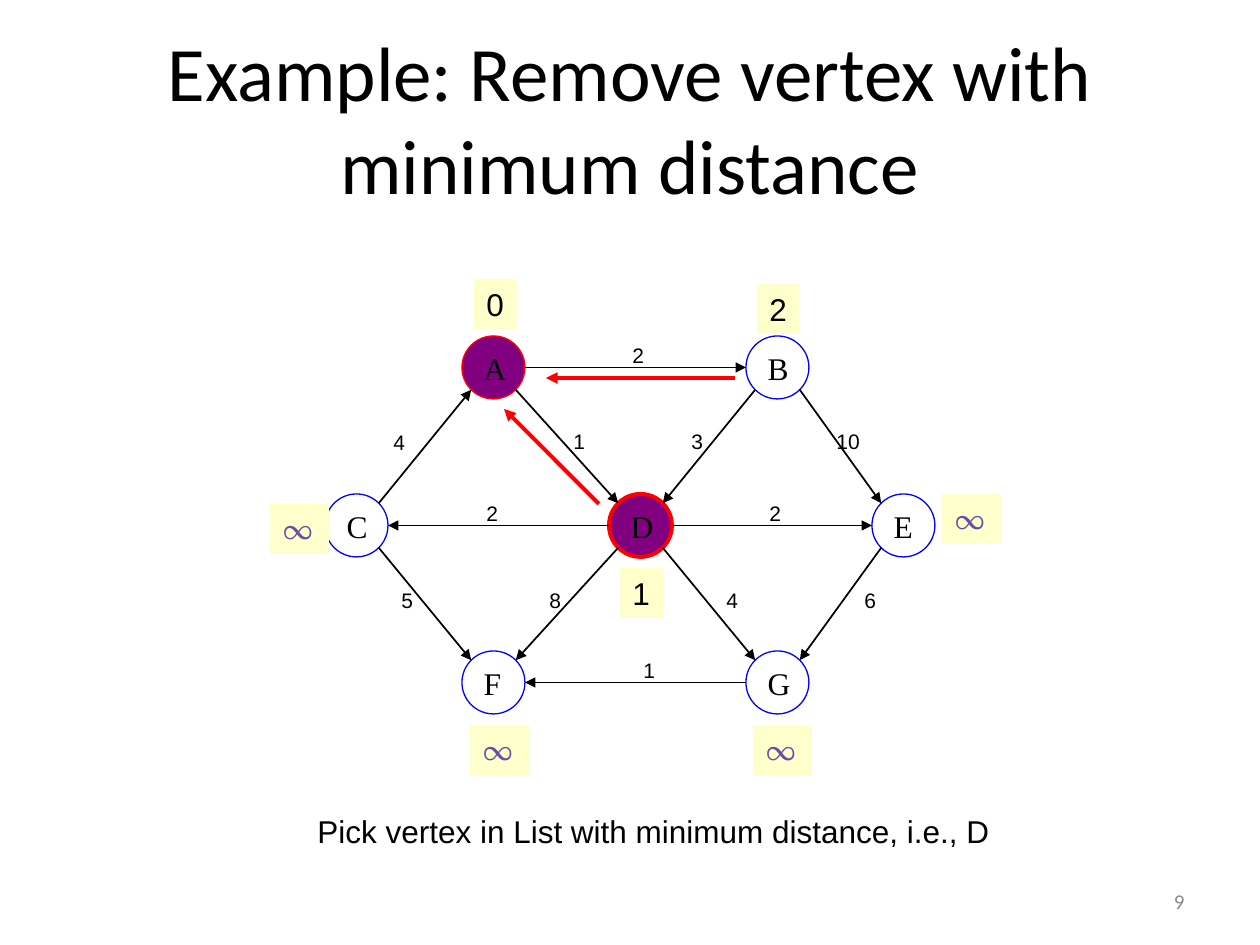
from math import sqrt
from lxml.etree import SubElement
from pptx import Presentation
from pptx.dml.color import RGBColor as Rgb
from pptx.enum.shapes import MSO_CONNECTOR as Line, MSO_SHAPE as Shape
from pptx.enum.text import MSO_ANCHOR as Anchor, PP_ALIGN as Align
from pptx.oxml.ns import qn
from pptx.util import Pt

PX = 914400 / 126
DIAM = 63
HUES = {"ink": "000000", "gray": "898989", "blue": "0000FF", "red": "FF0000",
        "plum": "800080", "cream": "FFFFCC", "lilac": "674EA7"}

TITLE = "Example: Remove vertex with minimum distance"
NOTE = "Pick vertex in List with minimum distance, i.e., D"
NODES = {"A": (462, 336), "B": (746, 336), "C": (325, 494), "D": (609, 494),
         "E": (872, 494), "F": (462, 651), "G": (746, 651)}
DONE = {"A": 0.75, "D": 2.25}
EDGES = [("A", "B", "2", 620, 336), ("A", "D", "1", 561, 422),
         ("B", "D", "3", 679, 422), ("B", "E", "10", 824, 422),
         ("C", "A", "4", 381, 423), ("C", "F", "5", 389, 581),
         ("D", "C", "2", 474, 494), ("D", "E", "2", 757, 494),
         ("D", "F", "8", 537, 581), ("D", "G", "4", 714, 581),
         ("E", "G", "6", 852, 581), ("G", "F", "1", 631, 651)]
COSTS = [("0", 474, 279), ("2", 757, 284), ("∞", 270, 504), ("∞", 942, 494),
         ("1", 620, 568), ("∞", 470, 725), ("∞", 753, 725)]
BACK = [(599, 504, 504, 409), (735, 378, 546, 378)]


def emu(*nums):
    return [round(n * PX) for n in nums]


def hue(name):
    return Rgb.from_string(HUES[name])


def write(shape, text, size, font="Arial", color="ink", align=Align.LEFT,
          anchor=Anchor.MIDDLE, wrap=False):
    frame = shape.text_frame
    frame.text = text
    frame.word_wrap = wrap
    frame.vertical_anchor = anchor
    para = frame.paragraphs[0]
    para.alignment = align
    face = para.runs[0].font
    face.size, face.name = Pt(size), font
    face.color.rgb = hue(color)


def label(box, text, size, **look):
    write(slide.shapes.add_textbox(*emu(*box)), text, size, **look)


def solid(kind, box, fill=None, line=None, width=0.75):
    shape = slide.shapes.add_shape(kind, *emu(*box))
    shape.shadow.inherit = False
    if fill:
        shape.fill.solid()
        shape.fill.fore_color.rgb = hue(fill)
    else:
        shape.fill.background()
    if line:
        shape.line.color.rgb = hue(line)
        shape.line.width = Pt(width)
    else:
        shape.line.fill.background()
    return shape


def arrow(ends, color="ink", width=1):
    link = slide.shapes.add_connector(Line.STRAIGHT, *emu(*ends))
    link.line.color.rgb = hue(color)
    link.line.width = Pt(width)
    SubElement(link.line._get_or_add_ln(), qn("a:tailEnd"), type="triangle")
    SubElement(link._element.spPr, qn("a:effectLst"))


def sign(num):
    return (num > 0) - (num < 0)


def rim(start, end):
    (x1, y1), (x2, y2) = NODES[start], NODES[end]
    dx, dy = sign(x2 - x1), sign(y2 - y1)
    rad = DIAM / 2
    step = rad / sqrt(dx * dx + dy * dy)
    return (x1 + rad + dx * step, y1 + rad + dy * step,
            x2 + rad - dx * step, y2 + rad - dy * step)


deck = Presentation()
deck.slide_width, deck.slide_height = emu(1260, 945)
slide = deck.slides.add_slide(deck.slide_layouts[6])

label((903, 876, 294, 50), "9", 12, font="Calibri", color="gray",
      align=Align.RIGHT, wrap=True)
label((63, 38, 1134, 158), TITLE, 44, font="Calibri",
      align=Align.CENTER, wrap=True)
label((305, 806, 697, 50), NOTE, 18, anchor=Anchor.TOP)

for name, (x, y) in NODES.items():
    done = name in DONE
    oval = solid(Shape.OVAL, (x, y, DIAM, DIAM), "plum" if done else None,
                 "red" if done else "blue", DONE.get(name, 0.75))
    write(oval, name, 18, font="Times New Roman")

for start, end, cost, x, y in EDGES:
    arrow(rim(start, end))
    label((x, y, 25 + 12 * len(cost), 38), cost, 12)

for cost, x, y in COSTS:
    far = cost == "∞"
    tag = solid(Shape.RECTANGLE, (x, y, 59 if far else 43, 50), "cream")
    write(tag, cost, 18, font="Vollkorn" if far else "Arial",
          color="lilac" if far else "ink", anchor=Anchor.TOP)

for ends in BACK:
    arrow(ends, "red", 2.25)

deck.save("out.pptx")
